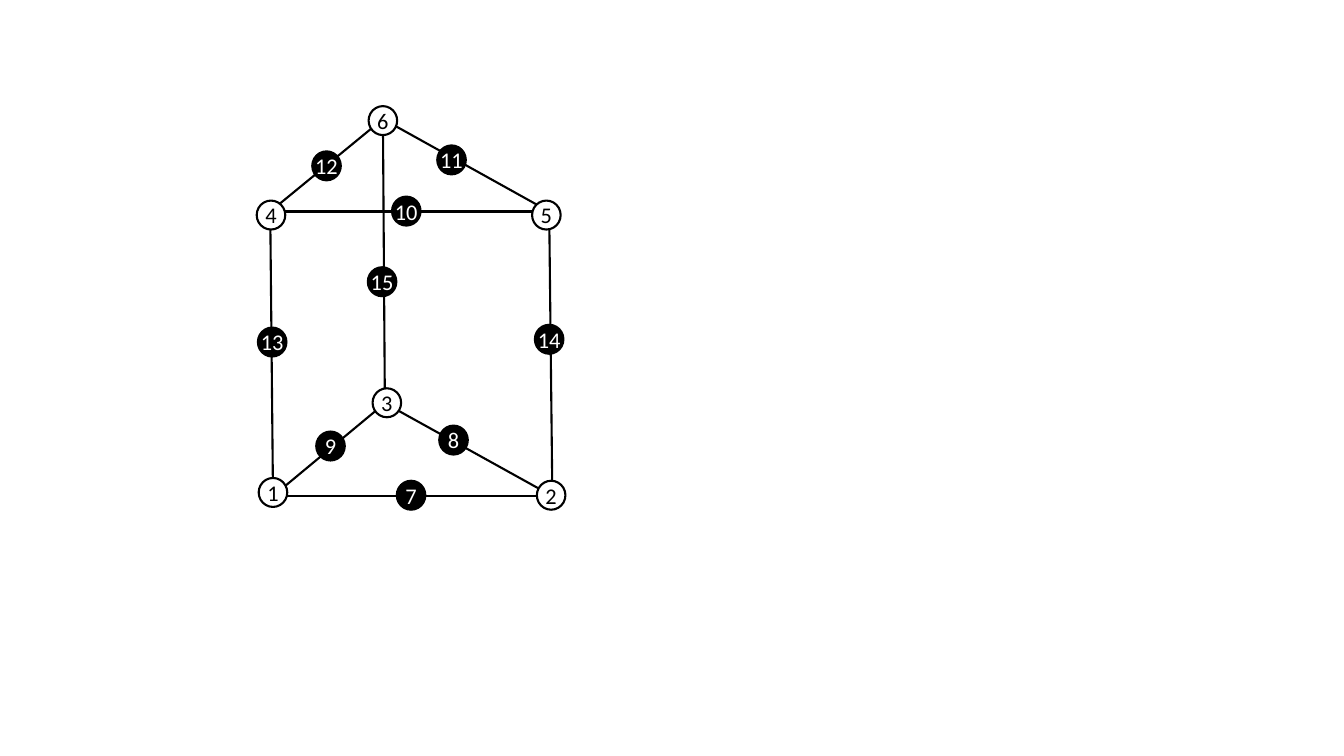
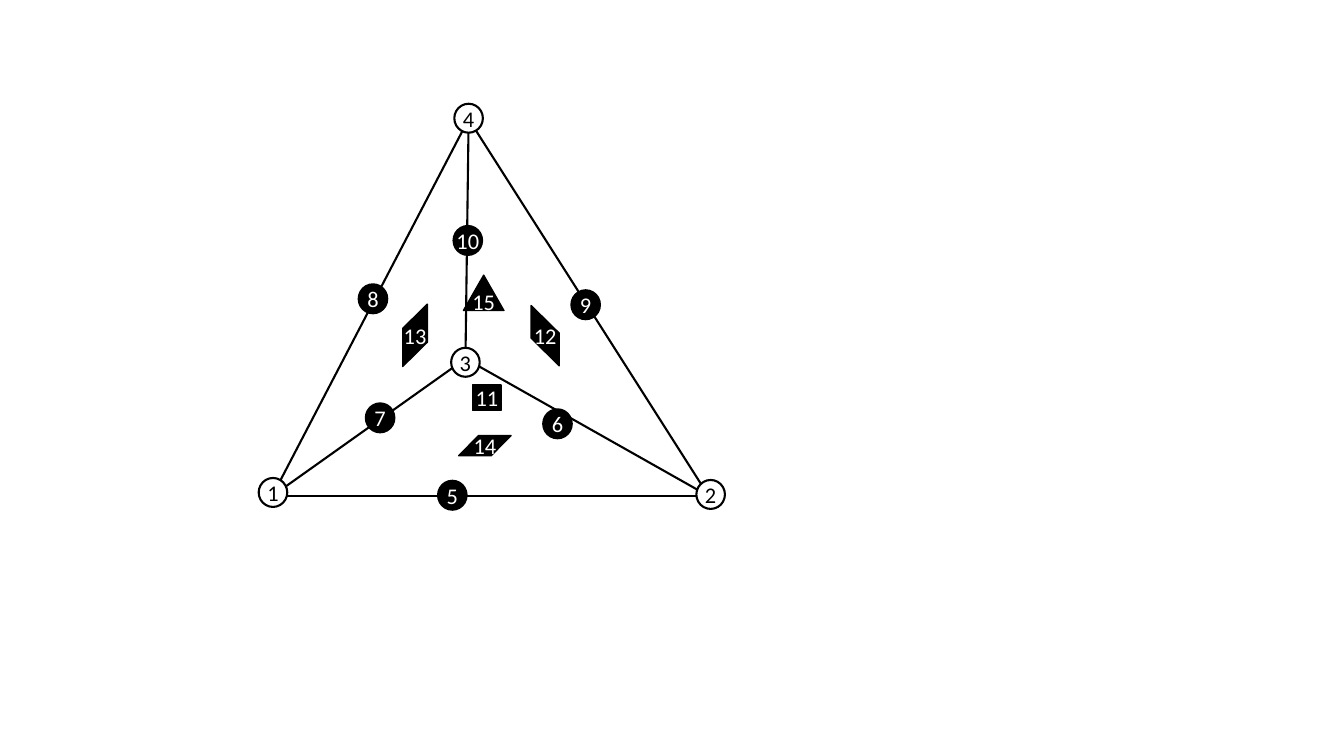
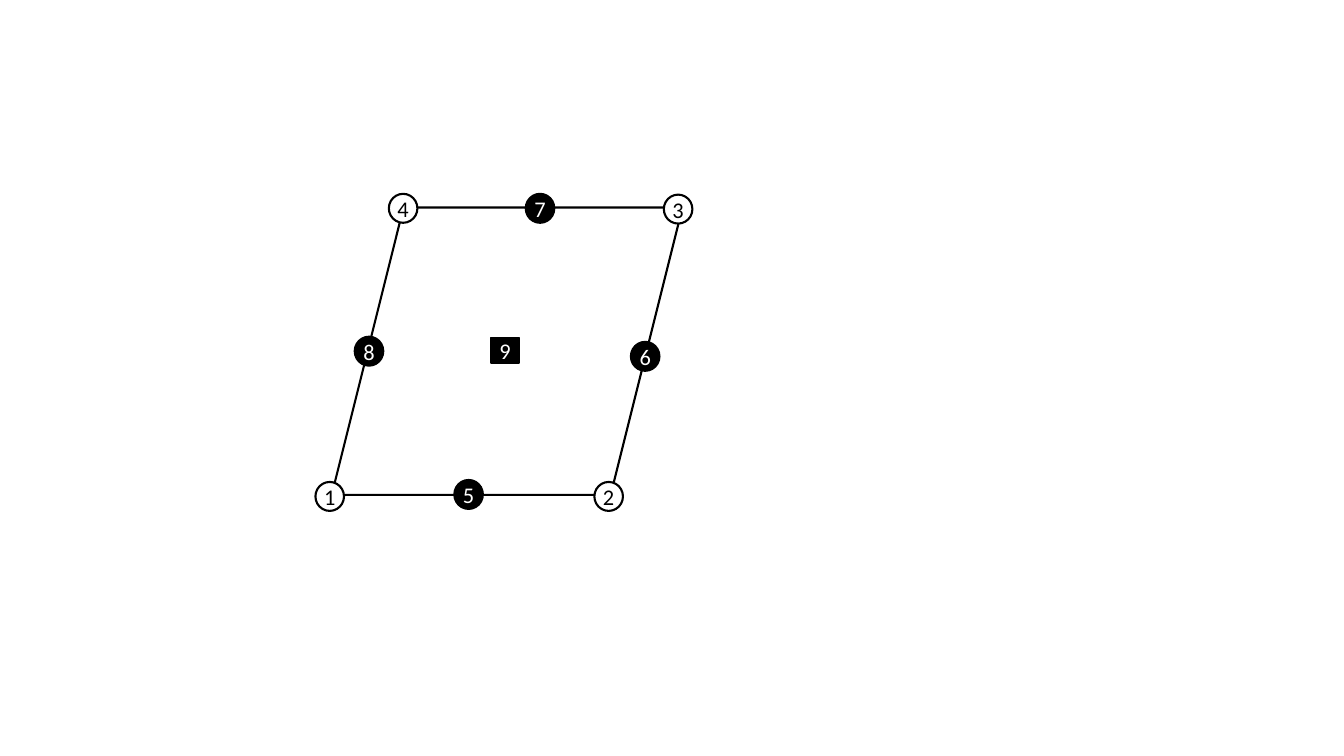
from dataclasses import dataclass

from lxml import etree
from pptx import Presentation
from pptx import util as u
from pptx.dml.color import RGBColor
from pptx.enum import shapes, text
from pptx.oxml import ns

INK = "000000"
PAPER = "FFFFFF"
FONT = {"name": "Calibri", "size": u.Pt(16)}
FRAME = {
    "margin_left": 0,
    "margin_right": 0,
    "margin_top": 0,
    "margin_bottom": 0,
    "word_wrap": False,
    "vertical_anchor": text.MSO_ANCHOR.MIDDLE,
}
KIND = shapes.MSO_SHAPE
DOT = (0.72, 0.73)
BOX = (0.71, 0.64)
SLANT = 0.984


@dataclass(frozen=True)
class Mark:
    label: str
    x: float
    y: float
    size: tuple[float, float] = DOT
    kind: KIND = KIND.OVAL
    fill: str | None = INK
    line: float = 1.5
    skew: float | None = None
    turn: float = 0
    flip: bool = False


@dataclass(frozen=True)
class Graph:
    ends: dict[str, tuple[float, float]]
    edges: tuple[str, ...]
    marks: tuple[Mark, ...]


def node(label: str, x: float, y: float) -> Mark:
    return Mark(label, x, y, fill=PAPER)


def face(label: str, x: float, y: float, size=BOX, kind=KIND.RECTANGLE, **more) -> Mark:
    return Mark(label, x, y, size, kind, line=1, **more)


def tint(code: str) -> RGBColor:
    return RGBColor.from_string(code)


def apply(item, values: dict) -> None:
    for name, value in values.items():
        setattr(item, name, value)


def place(mark: Mark) -> list[u.Cm]:
    wide, high = mark.size
    return [u.Cm(v) for v in (mark.x - wide / 2, mark.y - high / 2, wide, high)]


def write(shape, mark: Mark) -> None:
    frame = shape.text_frame
    apply(frame, FRAME)
    para = frame.paragraphs[0]
    para.alignment = text.PP_ALIGN.CENTER
    run = para.add_run()
    run.text = mark.label
    apply(run.font, FONT)
    run.font.color.rgb = tint(INK if mark.fill == PAPER else PAPER)


def stroke(line, width: float) -> None:
    line.color.rgb = tint(INK)
    line.width = u.Pt(width)


def draw_mark(slide, mark: Mark) -> None:
    shape = slide.shapes.add_shape(mark.kind, *place(mark))
    shape.shadow.inherit = False
    stroke(shape.line, mark.line)
    if mark.fill:
        shape.fill.solid()
        shape.fill.fore_color.rgb = tint(mark.fill)
    else:
        shape.fill.background()
    if mark.skew is not None:
        shape.adjustments[0] = mark.skew
    shape.rotation = mark.turn
    if mark.flip:
        shape.element.spPr.xfrm.set("flipV", "1")
    if mark.label:
        write(slide.shapes.add_textbox(*place(mark)) if mark.turn else shape, mark)


def draw_edge(slide, start: tuple[float, float], end: tuple[float, float]) -> None:
    spots = [u.Cm(v) for v in (*start, *end)]
    edge = slide.shapes.add_connector(shapes.MSO_CONNECTOR.STRAIGHT, *spots)
    stroke(edge.line, 1.5)
    etree.SubElement(edge.element.spPr, ns.qn("a:effectLst"))


def draw_graph(slide, graph: Graph) -> None:
    for start, end in graph.edges:
        draw_edge(slide, graph.ends[start], graph.ends[end])
    for mark in graph.marks:
        draw_mark(slide, mark)


PRISM = Graph(
    {
        "1": (6.88, 12.5),
        "2": (13.92, 12.5),
        "3": (9.7, 10.16),
        "4": (6.81, 5.33),
        "5": (13.84, 5.33),
        "6": (9.65, 3),
    },
    ("41", "52", "63", "45", "65", "12", "32", "46", "13"),
    (
        node("1", 6.88, 12.41),
        node("2", 13.89, 12.48),
        node("3", 9.75, 10.15),
        node("4", 6.83, 5.42),
        node("5", 13.77, 5.42),
        node("6", 9.65, 3.04),
        Mark("7", 10.36, 12.48),
        Mark("8", 11.43, 11.09),
        Mark("9", 8.33, 11.24),
        Mark("10", 10.24, 5.32),
        Mark("11", 11.38, 4.03),
        Mark("12", 8.23, 4.18),
        Mark("13", 6.86, 8.62),
        Mark("14", 13.84, 8.55),
        Mark("15", 9.63, 7.1),
    ),
)

TETRA = Graph(
    {"1": (6.86, 12.5), "2": (17.86, 12.5), "3": (11.73, 9.04), "4": (11.81, 3)},
    ("41", "42", "43", "32", "13", "12"),
    (
        Mark("5", 11.4, 12.48),
        Mark("6", 14.05, 10.68),
        Mark("7", 9.58, 10.53),
        Mark("8", 9.4, 7.53),
        Mark("9", 14.76, 7.68),
        Mark("10", 11.79, 6.06),
        node("1", 6.88, 12.41),
        node("2", 17.91, 12.46),
        node("3", 11.73, 9.13),
        node("4", 11.81, 2.98),
        face("11", 12.27, 10.02),
        face("12", 13.74, 8.46, (1.52, 0.71), KIND.PARALLELOGRAM, skew=SLANT, turn=90),
        face("13", 10.46, 8.45, (1.57, 0.62), KIND.PARALLELOGRAM, skew=SLANT, turn=90, flip=True),
        face("14", 12.22, 11.23, (1.32, 0.51), KIND.PARALLELOGRAM, skew=SLANT),
        face("15", 12.19, 7.38, (1.02, 0.89), KIND.ISOSCELES_TRIANGLE),
    ),
)

QUAD = Graph(
    {},
    (),
    (
        Mark("", 12.78, 8.85, (8.84, 7.24), KIND.PARALLELOGRAM, fill=None),
        node("1", 8.31, 12.51),
        node("2", 15.34, 12.51),
        node("3", 17.09, 5.27),
        node("4", 10.16, 5.25),
        Mark("5", 11.81, 12.46),
        Mark("6", 16.26, 8.98),
        Mark("7", 13.61, 5.25),
        Mark("8", 9.3, 8.85),
        face("9", 12.73, 8.83),
    ),
)


def main() -> None:
    deck = Presentation()
    apply(deck, {"slide_width": u.Cm(33.87), "slide_height": u.Cm(19.05)})
    for graph in (PRISM, TETRA, QUAD):
        draw_graph(deck.slides.add_slide(deck.slide_layouts[6]), graph)
    deck.save("out.pptx")


if __name__ == "__main__":
    main()
